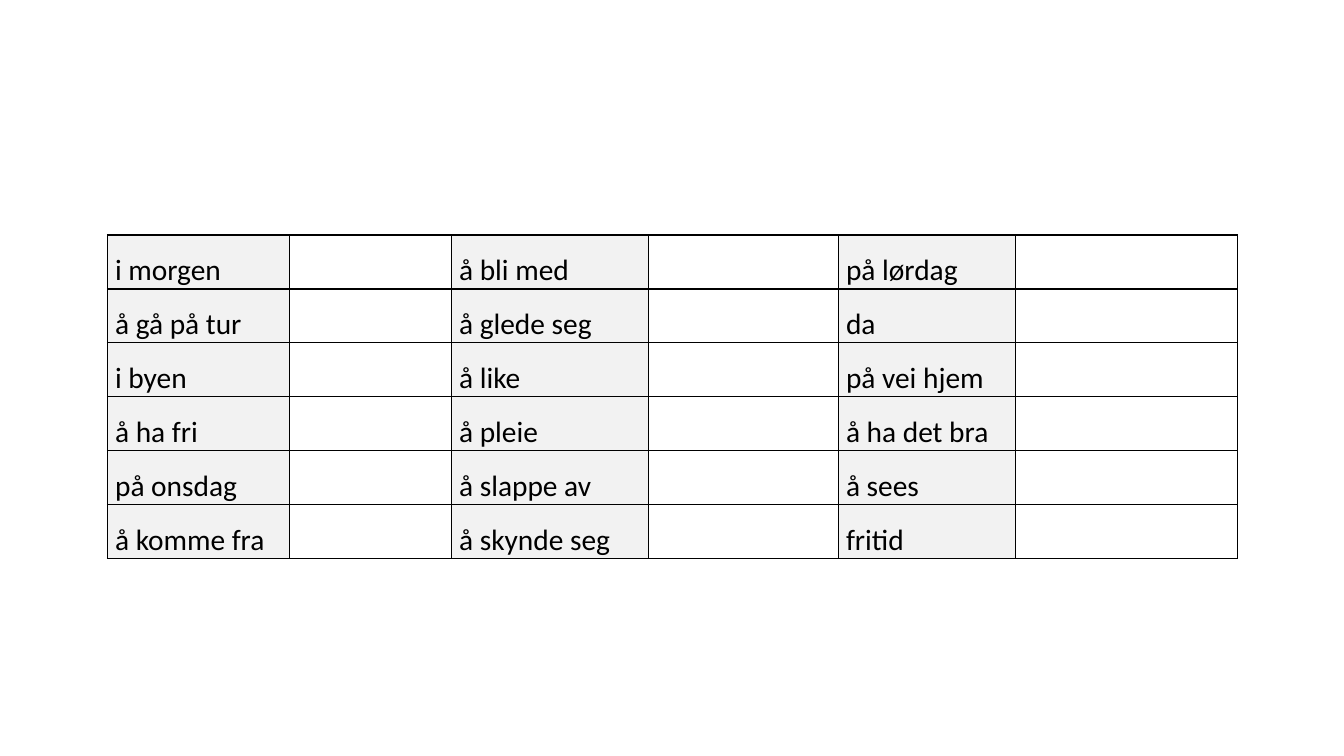
from lxml import etree
from pptx import Presentation
from pptx.dml.color import RGBColor
from pptx.enum.text import PP_ALIGN
from pptx.oxml.ns import qn
from pptx.util import Cm, Pt

JUSTIFY = PP_ALIGN.JUSTIFY
BLACK = RGBColor(0x00, 0x00, 0x00)
WHITE = RGBColor(0xFF, 0xFF, 0xFF)
LIGHT_GREY = RGBColor(0xF2, 0xF2, 0xF2)

PHRASES = [
    ("i morgen", "å bli med", "på lørdag"),
    ("å gå på tur", "å glede seg", "da"),
    ("i byen", "å like", "på vei hjem"),
    ("å ha fri", "å pleie", "å ha det bra"),
    ("på onsdag", "å slappe av", "å sees"),
    ("å komme fra", "å skynde seg", "fritid"),
]
COLUMN_WIDTHS = (4.59, 4.08, 4.96, 4.79, 4.46, 5.59)
ROW_HEIGHT = 1.36


def apply_format(target, values):
    for name, value in values.items():
        setattr(target, name, value)


class SlideBuilder:
    font_format = {"name": "Calibri", "size": Pt(21)}
    para_format = {"alignment": JUSTIFY, "line_spacing": 1.5, "space_after": Pt(8)}
    cell_format = {
        "margin_left": Cm(0.19),
        "margin_right": Cm(0.19),
        "margin_top": 0,
        "margin_bottom": 0,
    }
    table_format = {"first_row": False, "horz_banding": False}

    def __init__(self, slide):
        self.slide = slide

    def add_borders(self, cell):
        properties = cell._tc.get_or_add_tcPr()
        for side in ("a:lnL", "a:lnR", "a:lnT", "a:lnB"):
            line = etree.SubElement(properties, qn(side), w=str(Pt(1)))
            fill = etree.SubElement(line, qn("a:solidFill"))
            etree.SubElement(fill, qn("a:srgbClr"), val=str(BLACK))

    def fill_cell(self, cell, text, color):
        apply_format(cell, self.cell_format)
        self.add_borders(cell)
        cell.fill.solid()
        cell.fill.fore_color.rgb = color
        if text:
            para = cell.text_frame.paragraphs[0]
            apply_format(para, self.para_format)
            span = para.add_run()
            span.text = text
            apply_format(span.font, self.font_format)
            span.font.color.rgb = BLACK

    def add_phrase_table(self, phrases, left, top, widths, row_height):
        frame = self.slide.shapes.add_table(
            len(phrases), len(widths), Cm(left), Cm(top),
            Cm(sum(widths)), Cm(row_height * len(phrases)),
        )
        table = frame.table
        apply_format(table, self.table_format)
        for column, width in zip(table.columns, widths):
            column.width = Cm(width)
        for row, row_phrases in zip(table.rows, phrases):
            row.height = Cm(row_height)
            for index, cell in enumerate(row.cells):
                pair, is_answer = divmod(index, 2)
                if is_answer:
                    self.fill_cell(cell, "", WHITE)
                else:
                    self.fill_cell(cell, row_phrases[pair], LIGHT_GREY)


def main():
    deck = Presentation()
    deck.slide_width = Cm(33.87)
    deck.slide_height = Cm(19.05)
    page = SlideBuilder(deck.slides.add_slide(deck.slide_layouts[6]))
    page.add_phrase_table(PHRASES, 2.71, 5.92, COLUMN_WIDTHS, ROW_HEIGHT)
    deck.save("out.pptx")


if __name__ == "__main__":
    main()
